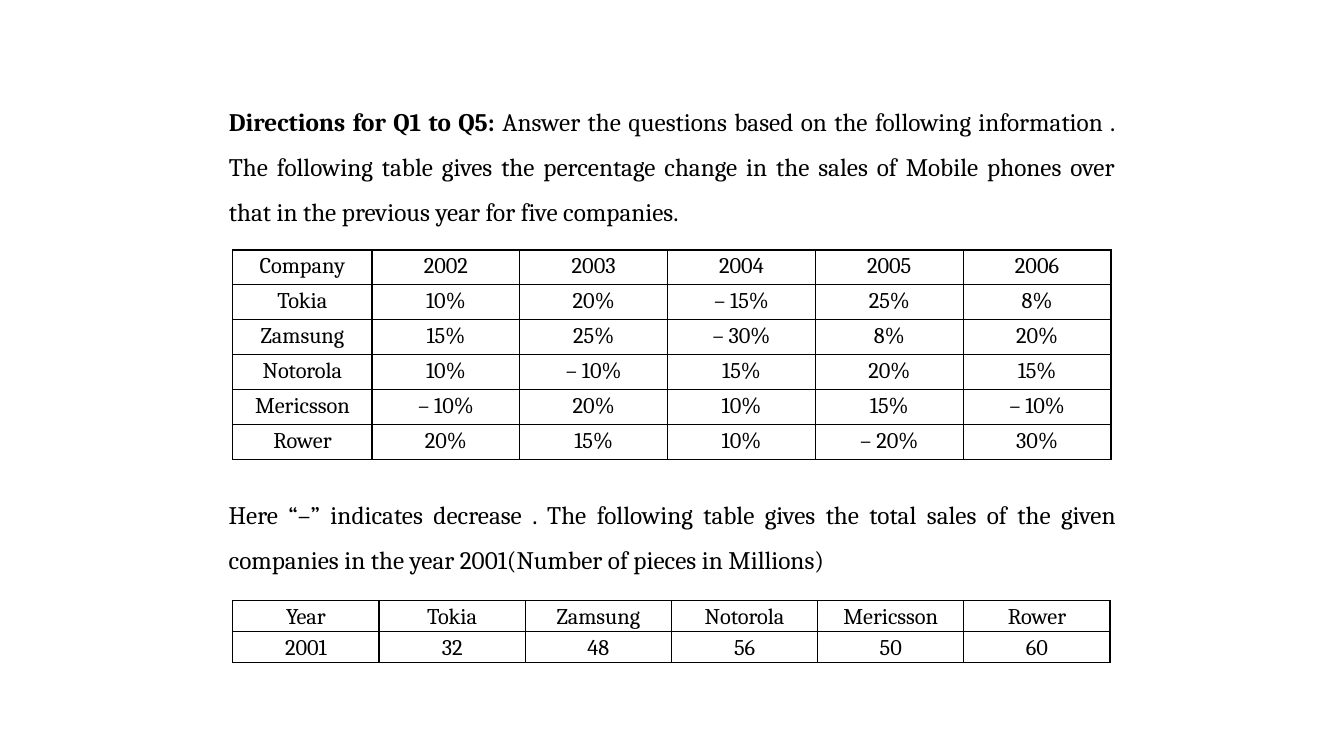
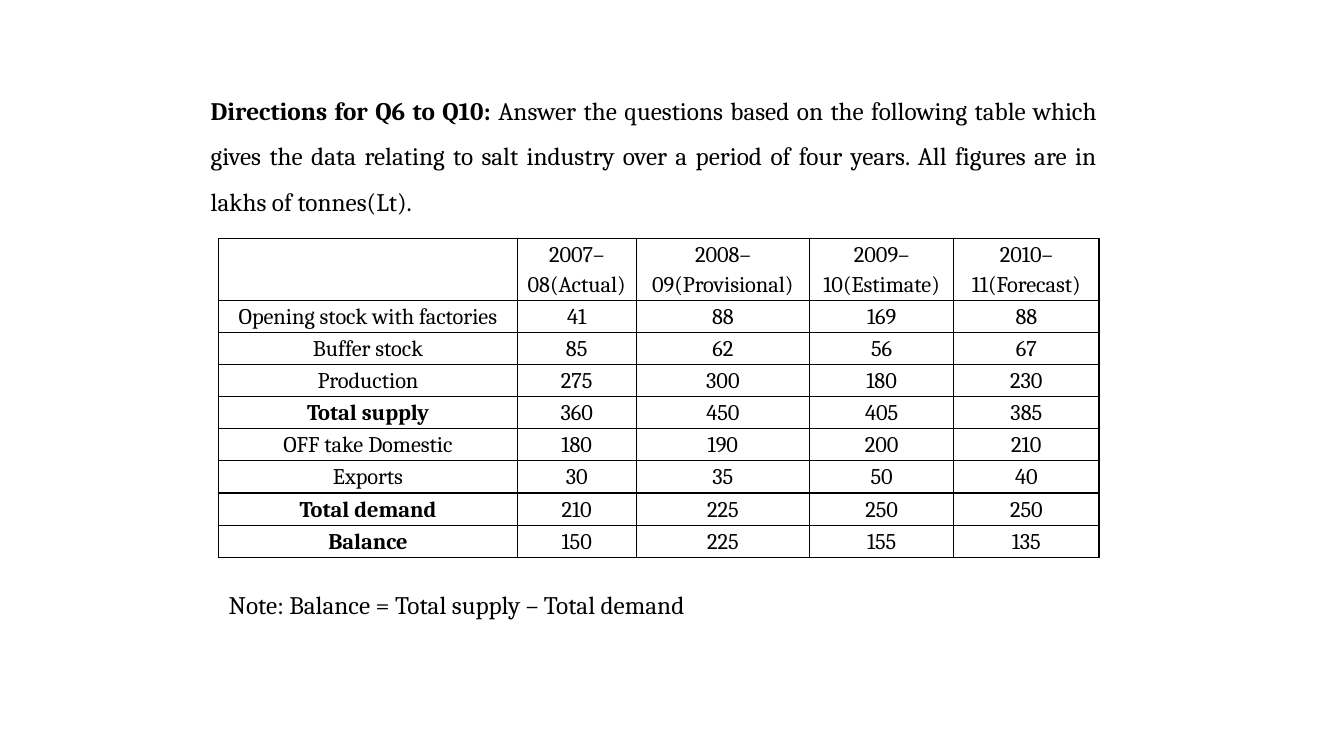
from lxml import etree
from pptx import Presentation
from pptx import util as u
from pptx.dml.color import RGBColor
from pptx.enum import text
from pptx.oxml import ns

SCALE = 9144  # EMU in one px, 100 px to the inch
BLACK = RGBColor(0x00, 0x00, 0x00)
WHITE = RGBColor(0xFF, 0xFF, 0xFF)
FONT = "Cambria"
BODY_SIZE = 18
CELL_SIZE = 16
BORDER = 1
TITLE_ONLY = 5


def px(length):
    return u.Emu(round(length * SCALE))


def share(total, first, count):
    """A fixed first length, then the rest of the total in equal parts."""
    return [first] + [(total - first) / (count - 1)] * (count - 1)


class Worksheet:
    """Holds the style, the deck and the current page."""

    def __init__(self):
        self.deck = Presentation()
        self.deck.slide_width = px(1333)
        self.deck.slide_height = px(750)
        self.page = None

    def new_page(self):
        self.page = self.deck.slides.add_slide(self.deck.slide_layouts[TITLE_ONLY])
        fill = self.page.background.fill
        fill.solid()
        fill.fore_color.rgb = WHITE

    def add_span(self, para, words, size, bold=False):
        span = para.add_run()
        span.text = words
        span.font.name = FONT
        span.font.size = u.Pt(size)
        span.font.bold = bold
        span.font.color.rgb = BLACK

    def justify(self, para):
        para.alignment = text.PP_ALIGN.JUSTIFY
        para.line_spacing = 1.5

    def directions(self, left, top, width, height, lead, rest):
        box = self.page.shapes.title
        box.left, box.top, box.width, box.height = map(px, (left, top, width, height))
        frame = box.text_frame
        frame.word_wrap = True
        frame.auto_size = text.MSO_AUTO_SIZE.NONE
        frame.vertical_anchor = text.MSO_ANCHOR.MIDDLE
        para = frame.paragraphs[0]
        self.justify(para)
        self.add_span(para, lead, BODY_SIZE, bold=True)
        self.add_span(para, rest, BODY_SIZE)

    def note(self, left, top, width, height, words, justified=False):
        box = self.page.shapes.add_textbox(*map(px, (left, top, width, height)))
        box.text_frame.word_wrap = justified
        para = box.text_frame.paragraphs[0]
        if justified:
            self.justify(para)
        self.add_span(para, words, BODY_SIZE)

    def grid(self, left, top, widths, heights, rows, margin=7, bold_labels=()):
        frame = self.page.shapes.add_table(
            len(rows), len(widths), px(left), px(top), px(sum(widths)), px(sum(heights)))
        table = frame.table
        table.first_row = table.horz_banding = False
        for column, width in zip(table.columns, widths):
            column.width = px(width)
        for line, height in zip(table.rows, heights):
            line.height = px(height)
        for r, row in enumerate(rows):
            for c, words in enumerate(row):
                self.fill_cell(table.cell(r, c), words, margin, words in bold_labels)

    def fill_cell(self, cell, words, margin, bold):
        cell.margin_left = cell.margin_right = px(margin)
        cell.margin_top = cell.margin_bottom = 0
        cell.fill.background()
        self.outline(cell)
        para = cell.text_frame.paragraphs[0]
        para.alignment = text.PP_ALIGN.CENTER
        para.line_spacing = 1.15
        para.space_before = para.space_after = u.Pt(2.5)
        if words:
            self.add_span(para, words, CELL_SIZE, bold)

    def outline(self, cell):
        # Borders stand before the fill in the cell properties
        props = cell._tc.get_or_add_tcPr()
        for place, side in enumerate(("lnL", "lnR", "lnT", "lnB")):
            line = etree.Element(ns.qn("a:" + side), w=str(u.Pt(BORDER)))
            solid = etree.SubElement(line, ns.qn("a:solidFill"))
            etree.SubElement(solid, ns.qn("a:srgbClr"), val=str(BLACK))
            props.insert(place, line)


def mobile_sales(sheet):
    sheet.new_page()
    sheet.directions(
        217, 87, 899, 141, "Directions for Q1 to Q5:",
        " Answer the questions based on the following information . The following table "
        "gives the percentage change in the sales of Mobile phones over that in the "
        "previous year for five companies.")

    # Yearly change by company
    changes = [
        ("Company", "2002", "2003", "2004", "2005", "2006"),
        ("Tokia", "10%", "20%", "– 15%", "25%", "8%"),
        ("Zamsung", "15%", "25%", "– 30%", "8%", "20%"),
        ("Notorola", "10%", "– 10%", "15%", "20%", "15%"),
        ("Mericsson", "– 10%", "20%", "10%", "15%", "– 10%"),
        ("Rower", "20%", "15%", "10%", "– 20%", "30%"),
    ]
    sheet.grid(231, 248, share(871, 138, 6), [208 / 6] * 6, changes)

    # Sales in the base year
    sheet.note(
        217, 475, 900, 95,
        "Here “–” indicates decrease . The following table gives the total sales of the "
        "given companies in the year 2001(Number of pieces in Millions)", justified=True)
    companies = [row[0] for row in changes[1:]]
    totals = [("Year", *companies), ("2001", "32", "48", "56", "50", "60")]
    sheet.grid(231, 596, [145] * 6, [61 / 2] * 2, totals)


def salt_industry(sheet):
    sheet.new_page()
    sheet.directions(
        199, 76, 899, 142, "Directions for Q6 to Q10:",
        " Answer the questions based on the following table which gives the data relating "
        "to salt industry over a period of four years. All figures are in lakhs of "
        "tonnes(Lt).")

    # Supply and demand by year
    balance = [
        ("", "2007–08(Actual)", "2008–09(Provisional)", "2009–10(Estimate)",
         "2010–11(Forecast)"),
        ("Opening stock with factories", "41", "88", "169", "88"),
        ("Buffer stock", "85", "62", "56", "67"),
        ("Production", "275", "300", "180", "230"),
        ("Total supply", "360", "450", "405", "385"),
        ("OFF take Domestic", "180", "190", "200", "210"),
        ("Exports", "30", "35", "50", "40"),
        ("Total demand", "210", "225", "250", "250"),
        ("Balance", "150", "225", "155", "135"),
    ]
    sheet.grid(217, 237, [296, 118, 172, 143, 144], share(316, 61, 9), balance,
               margin=8, bold_labels=("Total supply", "Total demand", "Balance"))
    sheet.note(217, 580, 496, 40, "Note: Balance = Total supply – Total demand")


def main():
    sheet = Worksheet()
    mobile_sales(sheet)
    salt_industry(sheet)
    sheet.deck.save("out.pptx")


if __name__ == "__main__":
    main()
